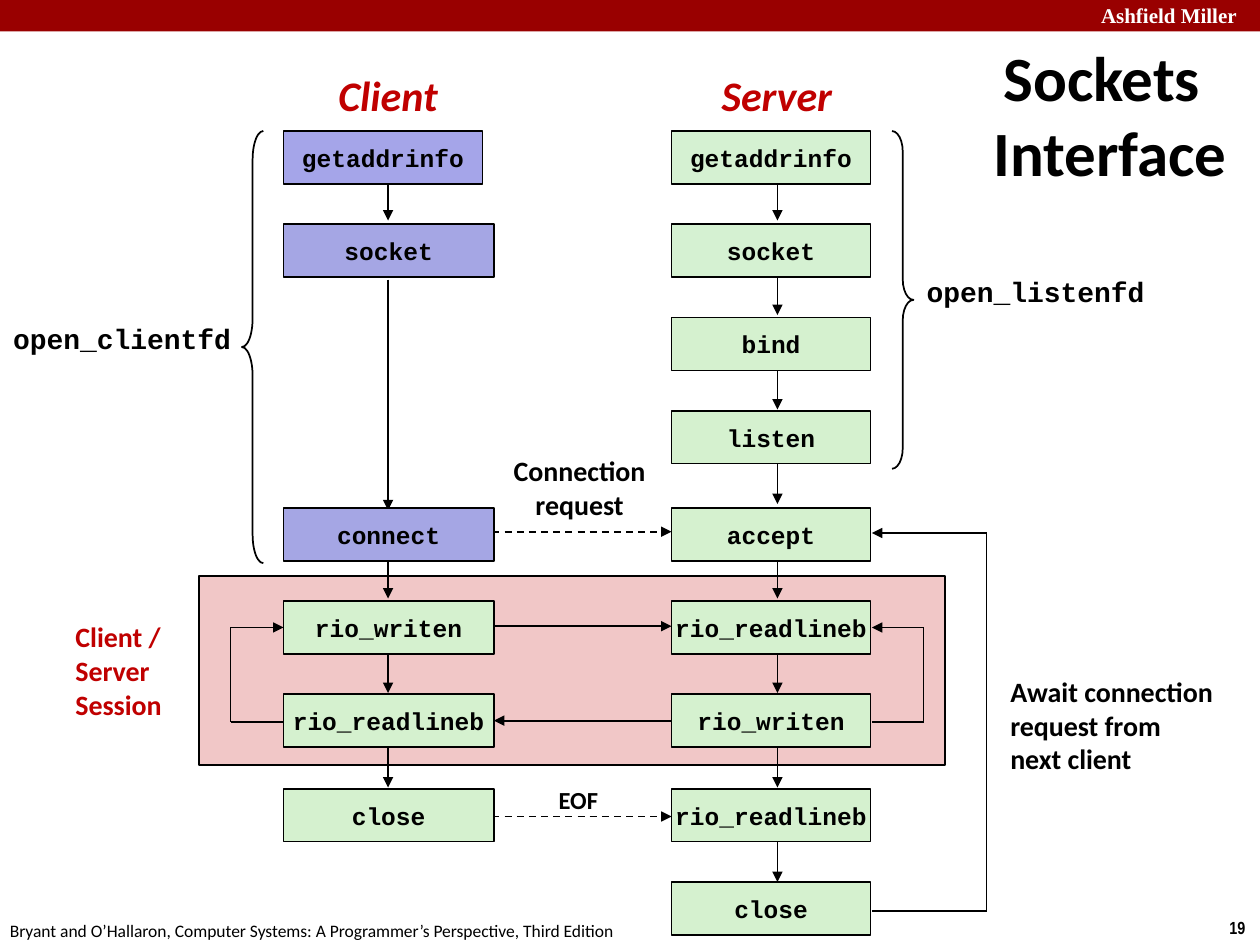
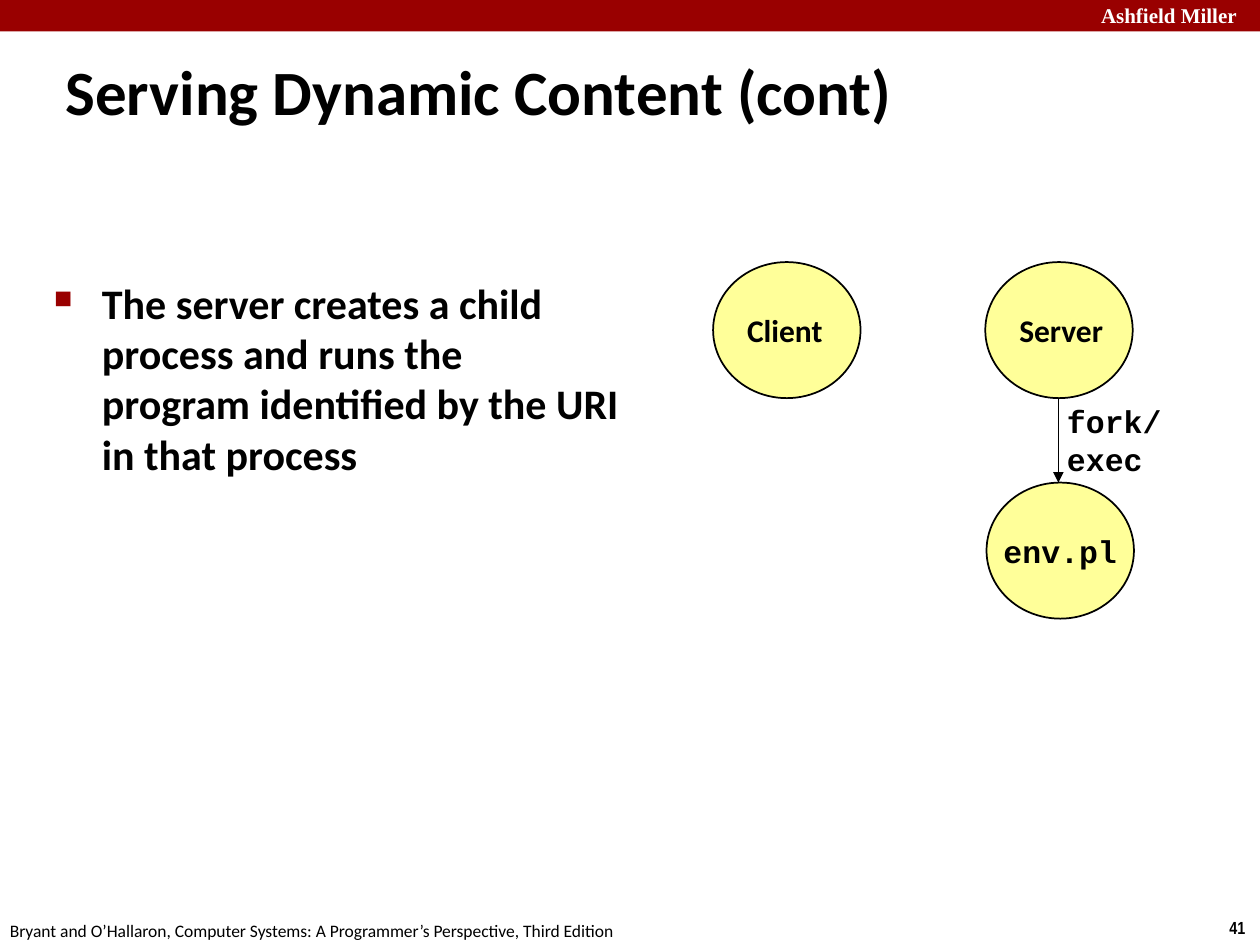
from lxml import etree
from pptx import Presentation
from pptx.dml.color import RGBColor
from pptx.enum.dml import MSO_LINE
from pptx.enum.shapes import MSO_CONNECTOR, MSO_SHAPE
from pptx.enum.text import MSO_ANCHOR, MSO_AUTO_SIZE, PP_ALIGN
from pptx.oxml.ns import qn
from pptx.util import Inches, Pt

RECTANGLE, ELLIPSE = MSO_SHAPE.RECTANGLE, MSO_SHAPE.OVAL
LEFT_BRACE, RIGHT_BRACE = MSO_SHAPE.LEFT_BRACE, MSO_SHAPE.RIGHT_BRACE
STRAIGHT, DASH = MSO_CONNECTOR.STRAIGHT, MSO_LINE.DASH
TOP, MIDDLE = MSO_ANCHOR.TOP, MSO_ANCHOR.MIDDLE
LEFT, CENTER = PP_ALIGN.LEFT, PP_ALIGN.CENTER
NO_AUTOFIT = MSO_AUTO_SIZE.NONE

BLACK, WHITE = "000000", "FFFFFF"
BAND_RED, HEADING_RED = "990000", "C00000"
PINK, YELLOW = "F1C7C7", "FFFF99"
GREEN, PALE_GREEN = "D5F1CF", "D5F1D2"
BLUE, BRIGHT_BLUE = "A5A6E4", "A5A5E9"
BODY_FONT, CODE_FONT = "Calibri", "Courier New"
BAND_FONT, NUMBER_FONT = "Times New Roman", "Arial Narrow"
color = RGBColor.from_string


def add_part(slide, at, text="", kind=None, fill=None, outline=None, ink=BLACK,
             align=LEFT, anchor=MIDDLE, wrap=False, hanging=0, **font_format):
    """Place a preset shape, a text box, or the slide's title (kind "title")."""
    left, top, width, height = [Inches(value) for value in at]
    if kind == "title":
        shape = slide.shapes.title
        shape.left, shape.top, shape.width, shape.height = left, top, width, height
    elif kind is None:
        shape = slide.shapes.add_textbox(left, top, width, height)
    else:
        shape = slide.shapes.add_shape(kind, left, top, width, height)
        shape.shadow.inherit = False
        if fill:
            shape.fill.solid()
            shape.fill.fore_color.rgb = color(fill)
        else:
            shape.fill.background()
        if outline:
            shape.line.color.rgb = color(outline)
            shape.line.width = Pt(1)
        else:
            shape.line.fill.background()
    if not text:
        return shape

    frame = shape.text_frame
    frame.text = text
    frame.auto_size = NO_AUTOFIT
    frame.word_wrap = wrap
    frame.vertical_anchor = anchor
    values = {"name": BODY_FONT, "size": 16, "bold": True} | font_format
    values["size"] = Pt(values["size"])
    for paragraph in frame.paragraphs:
        paragraph.alignment = align
        if hanging:
            properties = paragraph._p.get_or_add_pPr()
            properties.set("marL", str(Inches(hanging)))
            properties.set("indent", str(-Inches(hanging)))
        for run in paragraph.runs:
            run.font.color.rgb = color(ink)
            for name, value in values.items():
                setattr(run.font, name, value)
    return shape


def add_line(slide, start, end, arrow=True, dashed=False):
    points = [Inches(value) for value in (*start, *end)]
    connector = slide.shapes.add_connector(STRAIGHT, *points)
    connector.line.color.rgb = color(BLACK)
    connector.line.width = Pt(1)
    if dashed:
        connector.line.dash_style = DASH
    properties = connector.element.spPr
    if arrow:
        etree.SubElement(properties.find(qn("a:ln")), qn("a:tailEnd"), type="triangle")
    etree.SubElement(properties, qn("a:effectLst"))


presentation = Presentation()
presentation.slide_width, presentation.slide_height = Inches(10), Inches(7.5)
title_only = presentation.slide_layouts[5]

# Shared band, footer, number and title
pages = [
    ("19", "Sockets Interface", (7.58, 0.25, 2.33, 1.31), CENTER, MIDDLE),
    ("41", "Serving Dynamic Content (cont)", (0.42, 0.37, 8.5, 0.63), LEFT, TOP),
]
for number, title, title_at, align, anchor in pages:
    slide = presentation.slides.add_slide(title_only)
    add_part(slide, (0, 0, 10, 0.25), kind=RECTANGLE, fill=BAND_RED)
    add_part(slide, (8.64, -0.03, 1.43, 0.3), "Ashfield Miller", ink=WHITE,
             anchor=TOP, name=BAND_FONT, size=12)
    add_part(slide, (9.66, 7.23, 0.34, 0.27), number, anchor=TOP,
             name=NUMBER_FONT, size=10)
    add_part(slide, (-0.02, 7.25, 5.08, 0.27),
             "Bryant and O’Hallaron, Computer Systems: "
             "A Programmer’s Perspective, Third Edition",
             anchor=TOP, size=10, bold=False)
    add_part(slide, title_at, title, kind="title", align=align, anchor=anchor,
             wrap=True, hanging=0.13, size=36)
sockets, dynamic = presentation.slides

# Sockets: session area
add_part(sockets, (1.58, 4.57, 5.92, 1.5), kind=RECTANGLE, fill=PINK, outline=BLACK)
add_part(sockets, (0.5, 4.87, 0.92, 0.9), "Client / Server\nSession",
         ink=HEADING_RED, wrap=True)

# Sockets: loops back to an earlier step
for inner, outer, low, high in [(6.92, 7.33, 5.73, 4.98), (2.25, 1.83, 5.73, 4.98),
                                (6.92, 7.83, 7.23, 4.23)]:
    add_line(sockets, (inner, low), (outer, low), arrow=False)
    add_line(sockets, (outer, low), (outer, high), arrow=False)
    add_line(sockets, (outer, high), (inner, high))

# Sockets: arrows down each column
CLIENT_X, SERVER_X = 3.08, 6.17
for x, steps in [(CLIENT_X, (0, 4, 5, 6)), (SERVER_X, range(8))]:
    for step in steps:
        start = 1.41 + 0.75 * step
        add_line(sockets, (x, start), (x, start + 0.34))
add_line(sockets, (CLIENT_X, 2.22), (CLIENT_X, 4.05))

# Sockets: messages between the columns
for start_x, end_x, y, dashed in [(3.33, 5.33, 4.22, True), (3.92, 5.33, 4.97, False),
                                  (5.33, 3.92, 5.72, False), (3.33, 5.33, 6.48, True)]:
    add_line(sockets, (start_x, y), (end_x, y), dashed=dashed)

# Sockets: calls, as (row, name, fill, width) for each column
ROW_TOPS = [1.04, 1.78, 2.52, 3.26, 4.03, 4.77, 5.51, 6.26, 7]
client_calls = [
    (0, "getaddrinfo", BRIGHT_BLUE, 1.58), (1, "socket", BLUE, 1.67),
    (4, "connect", BLUE, 1.67), (5, "rio_writen", GREEN, 1.67),
    (6, "rio_readlineb", GREEN, 1.67), (7, "close", GREEN, 1.67),
]
server_names = ["getaddrinfo", "socket", "bind", "listen", "accept",
                "rio_readlineb", "rio_writen", "rio_readlineb", "close"]
server_calls = [(row, name, PALE_GREEN if row < 2 else GREEN, 1.58)
                for row, name in enumerate(server_names)]
for left, calls in [(2.25, client_calls), (5.33, server_calls)]:
    for row, name, fill, width in calls:
        add_part(sockets, (left, ROW_TOPS[row], width, 0.42), name, kind=RECTANGLE,
                 fill=fill, outline=BLACK, align=CENTER, name=CODE_FONT, size=14)

# Sockets: braces
for kind, at, curve in [(RIGHT_BRACE, (7.08, 1.04, 0.17, 2.68), 0.96),
                        (LEFT_BRACE, (1.92, 1.04, 0.17, 3.43), 1.33)]:
    brace = add_part(sockets, at, kind=kind, outline=BLACK)
    brace.adjustments[0], brace.adjustments[1] = curve, 0.5

# Sockets: labels
heading = {"ink": HEADING_RED, "size": 24, "italic": True}
labels = [
    ((2.58, 0.5, 1, 0.5), "Client", heading),
    ((5.62, 0.5, 1.09, 0.5), "Server", heading),
    ((3.97, 3.55, 1.26, 0.64), "Connection\nrequest", {}),
    ((4.33, 6.18, 0.52, 0.34), "EOF", {"size": 14}),
    ((7.25, 2.13, 1.94, 0.37), "open_listenfd", {"name": CODE_FONT}),
    ((0, 2.5, 1.94, 0.37), "open_clientfd", {"name": CODE_FONT}),
    ((7.92, 5.3, 1.83, 0.91), "Await connection\nrequest from\nnext client",
     {"align": LEFT}),
]
for at, text, label_format in labels:
    add_part(sockets, at, text, **({"align": CENTER} | label_format))

# Dynamic content: bullet
body = add_part(dynamic, (0.33, 2.15, 4.69, 2.07),
                "The server creates a child process and runs the program "
                "identified by the URI in that process",
                anchor=TOP, wrap=True, hanging=0.38, size=24)
properties = body.text_frame.paragraphs[0]._p.get_or_add_pPr()
bullet_color = etree.SubElement(properties, qn("a:buClr"))
etree.SubElement(bullet_color, qn("a:srgbClr"), val=BAND_RED)
etree.SubElement(properties, qn("a:buSzPct"), val="60000")
etree.SubElement(properties, qn("a:buChar"), char="■")

# Dynamic content: processes
for left, top, name, align, font in [(5.66, 2.08, "Client", LEFT, BODY_FONT),
                                     (7.82, 2.08, "Server", LEFT, BODY_FONT),
                                     (7.83, 3.83, "env.pl", CENTER, CODE_FONT)]:
    add_part(dynamic, (left, top, 1.17, 1.08), name, kind=ELLIPSE, fill=YELLOW,
             outline=BLACK, align=align, name=font, size=18)
add_line(dynamic, (8.4, 3.16), (8.4, 3.83))
add_part(dynamic, (8.37, 3.29, 1.3, 0.4), "fork/exec", wrap=True,
         name=CODE_FONT, size=18)

presentation.save("out.pptx")
